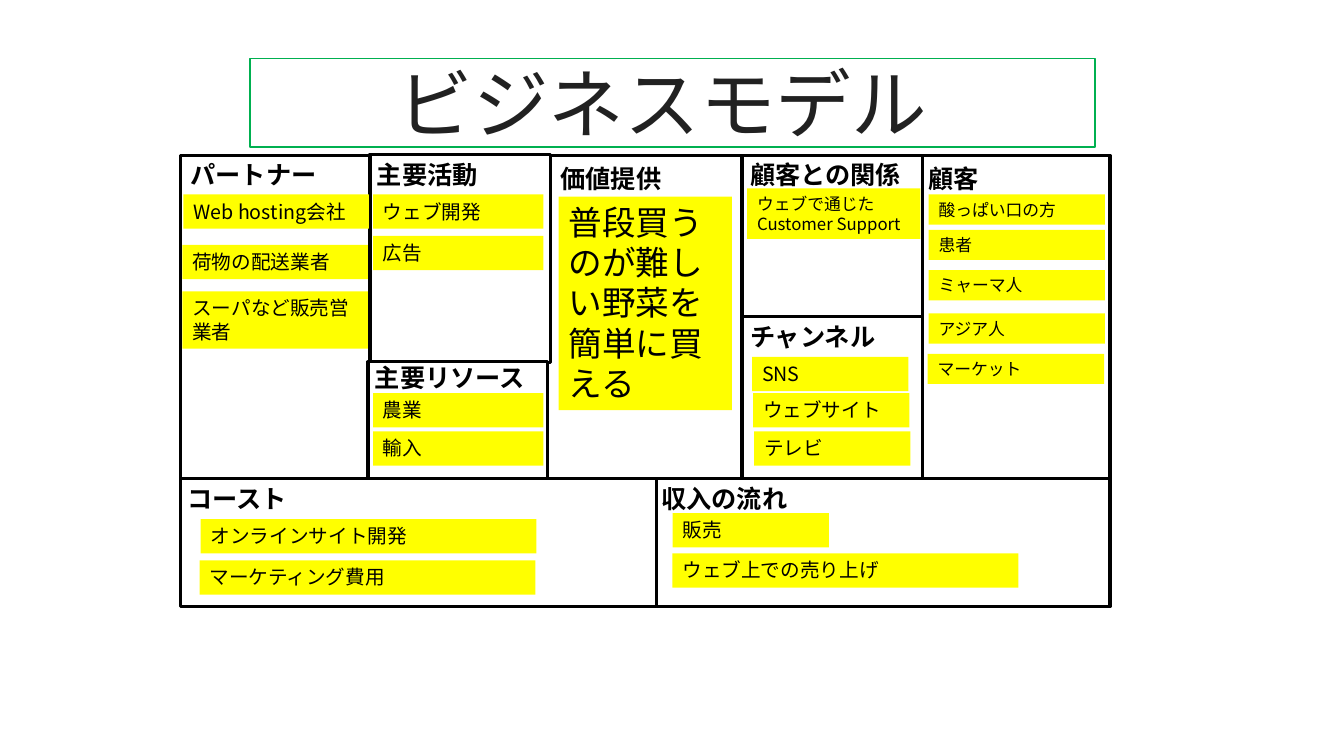
from lxml.etree import SubElement
from pptx import Presentation
from pptx.dml.color import RGBColor
from pptx.enum.shapes import MSO_SHAPE as SHAPE
from pptx.enum.text import MSO_ANCHOR as ANCHOR, MSO_AUTO_SIZE as AUTO, PP_ALIGN as ALIGN
from pptx.oxml.ns import qn
from pptx.util import Pt

BLACK = RGBColor(0x00, 0x00, 0x00)
WHITE = RGBColor(0xFF, 0xFF, 0xFF)
YELLOW = RGBColor(0xFF, 0xFF, 0x00)
GREEN = RGBColor(0x00, 0xB0, 0x50)
INK = RGBColor(0x21, 0x21, 0x21)

CELLS = [
    (179, 154, 191, 321), (651, 475, 450, 127), (736, 154, 179, 161),
    (736, 314, 179, 161), (179, 475, 472, 127), (915, 154, 186, 321),
    (541, 154, 195, 321), (367, 153, 179, 207), (365, 359, 178, 116),
]

SECTIONS = [
    ("コースト", (176, 475, 188), 14, [
        ("オンラインサイト開発", (199, 515, 333, 34)),
        ("マーケティング費用", (198, 556, 333, 34))]),
    ("顧客との関係", (734, 153, 179), 12, [
        ("ウェブで通じたCustomer Support", (741, 187, 172, 50))]),
    ("収入の流れ", (646, 475, 201), 14, [
        ("販売", (667, 509, 155, 34)),
        ("ウェブ上での売り上げ", (667, 549, 343, 34))]),
    ("価値提供", (546, 157, 188), 24, [
        ("普段買うのが難しい野菜を簡単に買える", (554, 195, 172, 212))]),
    ("パートナー", (179, 153, 188), 14, [
        ("Web hosting会社", (182, 193, 184, 34)),
        ("荷物の配送業者", (181, 243, 184, 34)),
        ("スーパなど販売営業者", (181, 289, 184, 57))]),
    ("主要リソース", (362, 355, 182), 14, [
        ("農業", (370, 390, 169, 34)),
        ("輸入", (370, 428, 169, 34))]),
    ("主要活動", (364, 153, 179), 14, [
        ("ウェブ開発", (370, 193, 169, 34)),
        ("広告", (370, 234, 169, 34))]),
    ("チャンネル", (734, 314, 181), 14, [
        ("SNS", (746, 354, 155, 34)),
        ("ウェブサイト", (747, 390, 155, 34)),
        ("テレビ", (748, 428, 155, 34))]),
    ("顧客", (911, 157, 104), 12, [
        ("酸っぱい口の方", (921, 193, 175, 30)),
        ("患者", (921, 228, 175, 30)),
        ("ミャーマ人", (921, 268, 175, 30)),
        ("アジア人", (921, 311, 175, 30)),
        ("マーケット", (920, 351, 175, 30))]),
]


class Canvas:
    PX = 9144
    FONT = "Noto Sans CJK JP"
    TITLE_FONT = "Times New Roman"

    def __init__(self, slide):
        self.slide = slide
        self.shapes = slide.shapes

    def px(self, *lengths):
        return [n * self.PX for n in lengths]

    def put_text(self, tf, text, frame=None, align=ALIGN.LEFT, **font):
        frame = {"word_wrap": True, "auto_size": AUTO.SHAPE_TO_FIT_TEXT,
                 "vertical_anchor": ANCHOR.TOP, **(frame or {})}
        for name, value in frame.items():
            setattr(tf, name, value)
        p = tf.paragraphs[0]
        p.alignment = align
        r = p.add_run()
        r.text = text
        color = font.pop("color", BLACK)
        for name, value in {"name": self.FONT, **font}.items():
            setattr(r.font, name, value)
        r.font.color.rgb = color
        SubElement(r.font._element, qn("a:ea")).set("typeface", self.FONT)

    def box(self, at, fill, line=None, width=0):
        sp = self.shapes.add_shape(SHAPE.RECTANGLE, *self.px(*at))
        sp.shadow.inherit = False
        sp.fill.solid()
        sp.fill.fore_color.rgb = fill
        if line is None:
            sp.line.fill.background()
        else:
            sp.line.color.rgb = line
            sp.line.width = Pt(width)
        return sp

    def heading(self, text, x, y, w):
        sp = self.shapes.add_textbox(*self.px(x, y, w, 40))
        self.put_text(sp.text_frame, text, size=Pt(18), bold=True)

    def note(self, text, at, size):
        sp = self.box(at, YELLOW)
        self.put_text(sp.text_frame, text, size=Pt(size))

    def title(self, text, at):
        sp = self.shapes.title
        for name, value in zip(("left", "top", "width", "height"), self.px(*at)):
            setattr(sp, name, value)
        frame = {"auto_size": AUTO.NONE, "vertical_anchor": ANCHOR.MIDDLE}
        self.put_text(sp.text_frame, text, frame, ALIGN.CENTER,
                      name=self.TITLE_FONT, size=Pt(54), color=INK)
        self.shapes._spTree.append(sp._element)


def main():
    prs = Presentation()
    prs.slide_width, prs.slide_height = 1333 * Canvas.PX, 750 * Canvas.PX
    canvas = Canvas(prs.slides.add_slide(prs.slide_layouts[5]))
    for cell in CELLS:
        canvas.box(cell, WHITE, BLACK, 2.25)
    for heading, place, size, notes in SECTIONS:
        canvas.heading(heading, *place)
        for text, at in notes:
            canvas.note(text, at, size)
    canvas.box((248, 58, 838, 88), WHITE, GREEN, 1.25)
    canvas.title("ビジネスモデル", (274, 58, 766, 87))
    prs.save("out.pptx")


if __name__ == "__main__":
    main()
